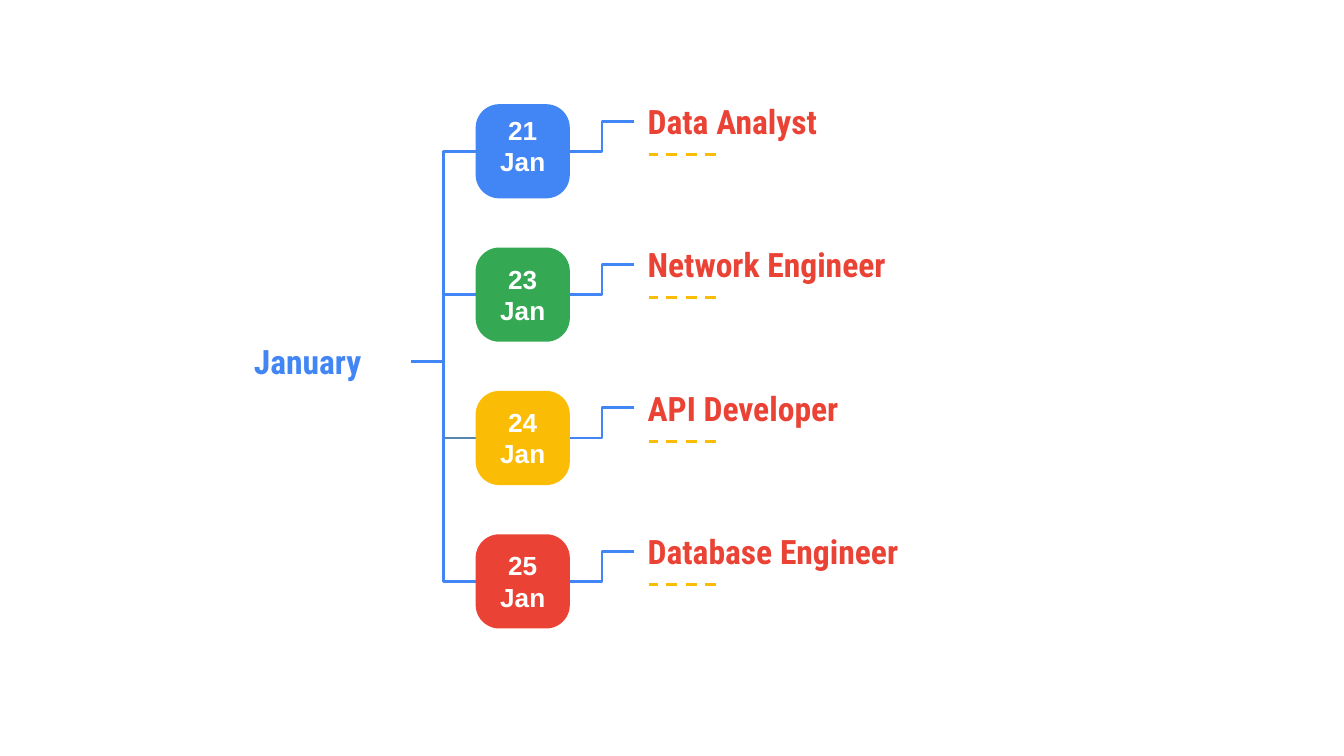
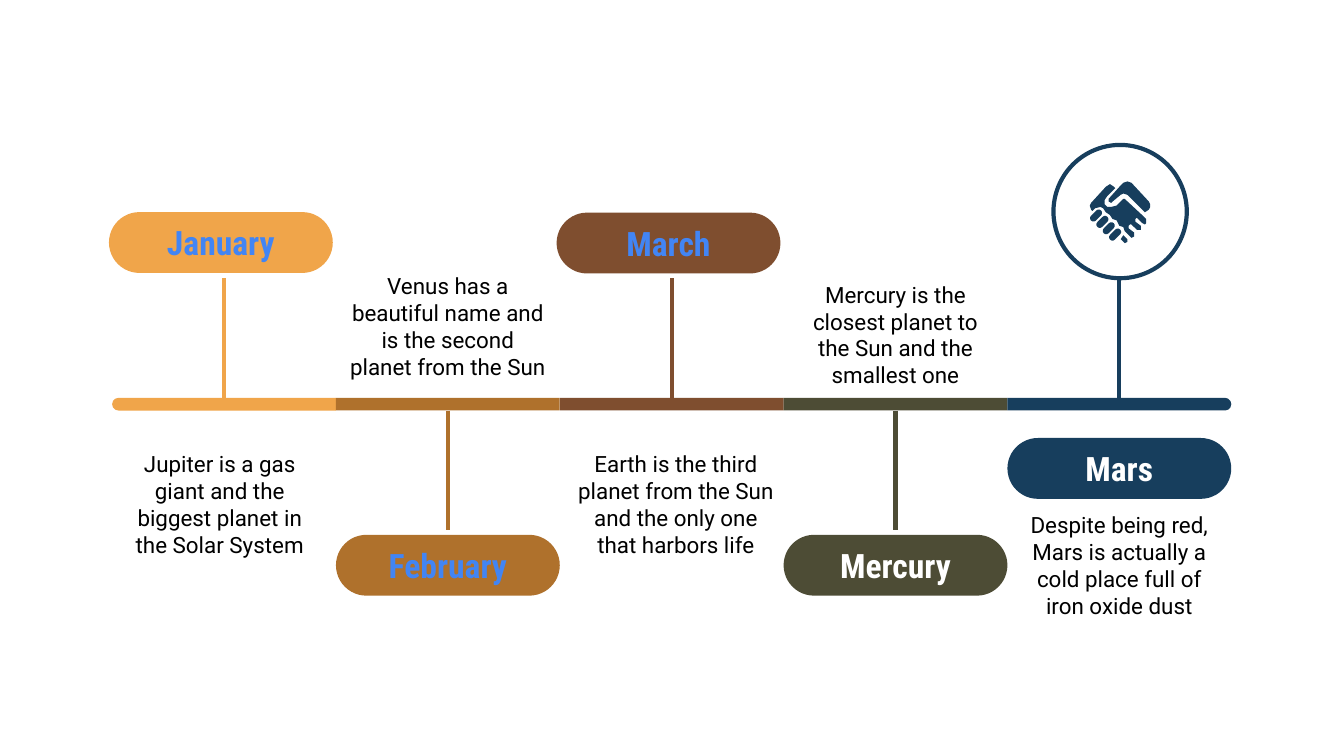
from lxml import etree
from pptx import Presentation
from pptx.dml.color import RGBColor
from pptx.enum.dml import MSO_LINE
from pptx.enum.shapes import MSO_CONNECTOR, MSO_SHAPE
from pptx.enum.text import MSO_ANCHOR, PP_ALIGN
from pptx.oxml.ns import qn
from pptx.util import Cm, Pt

ROUNDED, RECT, OVAL = MSO_SHAPE.ROUNDED_RECTANGLE, MSO_SHAPE.RECTANGLE, MSO_SHAPE.OVAL
ROUND_END = MSO_SHAPE.ROUND_2_SAME_RECTANGLE
STRAIGHT, ELBOW = MSO_CONNECTOR.STRAIGHT, MSO_CONNECTOR.ELBOW
LEFT, CENTER = PP_ALIGN.LEFT, PP_ALIGN.CENTER
TOP, MIDDLE = MSO_ANCHOR.TOP, MSO_ANCHOR.MIDDLE
DASH = MSO_LINE.DASH

BLUE, RED, YELLOW, GREEN = "4285F4", "EA4335", "FBBC05", "34A853"
WHITE, BLACK, NAVY = "FFFFFF", "000000", "173E5D"
HEADING = ("Roboto Condensed", 18, True)
BODY = ("Roboto", 12, False)
DATE = ("Arial", 14, True)

MONTH = "January"
JOBS = [
    ("21 Jan", "Data Analyst", BLUE, BLUE, 0.06),
    ("23 Jan", "Network Engineer", GREEN, BLUE, 0.16),
    ("24 Jan", "API Developer", YELLOW, "5486AE", 0.16),
    ("25 Jan", "Database Engineer", RED, BLUE, 0.16),
]
NODE_X, NODE_Y, NODE, JOB_STEP = 8.99, 1.97, 1.78, 2.71
MONTH_X, MONTH_Y, LABEL_X = 7.77, 6.83, 11.99

STAGES = [
    ("January", "Jupiter is a gas giant and the biggest planet in the Solar System",
     "F0A54A", BLUE, 4.01, 8.26, -0.06, -0.08),
    ("February", "Venus has a beautiful name and is the second planet from the Sun",
     "AF712C", BLUE, 10.11, 4.9, 0, 0),
    ("March", "Earth is the third planet from the Sun and the only one that harbors life",
     "7F4E2F", BLUE, 4.02, 8.26, -0.06, 0.08),
    ("Mercury", "Mercury is the closest planet to the Sun and the smallest one",
     "4D4C35", WHITE, 10.11, 5.06, 0, 0),
    ("Mars", "Despite being red, Mars is actually a cold place full of iron oxide dust",
     NAVY, WHITE, 8.28, 9.42, 0, 0),
]
BAR_X, BAR_Y, BAR_H, STAGE_W = 2.12, 7.52, 0.24, 4.23
PILL_H, STEM = 1.15, 2.26

ICON_X, ICON_Y = 20.57, 3.43
HANDSHAKE = [
    [(16, 2), (13, 4), (2, 16), (1, 18), (2, 21), (3, 22), (5, 20), (9, 19), (11, 20),
     (13, 23), (16, 25), (18, 28), (21, 29), (23, 33), (26, 34), (27, 37), (31, 41),
     (32, 42), (34, 41), (34, 38), (30, 35), (30, 33), (31, 32), (32, 32), (36, 36),
     (37, 36), (39, 36), (39, 33), (35, 30), (35, 28), (36, 27), (37, 28), (40, 31),
     (42, 32), (43, 31), (43, 28), (41, 26), (27, 13), (26, 13), (21, 18), (17, 19),
     (14, 19), (12, 17), (12, 14), (14, 11), (20, 5), (19, 4)],
    [(29, 0), (26, 1), (24, 3), (15, 13), (15, 15), (17, 16), (18, 15), (24, 10),
     (26, 9), (29, 10), (42, 23), (45, 21), (46, 19), (46, 17), (45, 15), (32, 1)],
    [(26, 40), (24, 43), (26, 45), (27, 46), (29, 45), (29, 43)],
]


def color(value):
    return RGBColor.from_string(value)


def write(s, text, style, fill, align=CENTER, anchor=TOP, pad=0.25, after=0):
    name, size, bold = style
    tf = s.text_frame
    tf.word_wrap = True
    tf.vertical_anchor = anchor
    tf.margin_left = tf.margin_right = Cm(0.25)
    tf.margin_top = tf.margin_bottom = Cm(pad)
    tf.text = text
    p = tf.paragraphs[0]
    p.alignment = align
    p.space_after = Pt(after)
    font = p.runs[0].font
    font.name, font.size, font.bold = name, Pt(size), bold
    font.color.rgb = color(fill)


def add_text(slide, x, y, w, h, *args, **options):
    write(slide.shapes.add_textbox(Cm(x), Cm(y), Cm(w), Cm(h)), *args, **options)


def paint(sp, fill):
    sp.shadow.inherit = False
    sp.line.fill.background()
    sp.fill.solid()
    sp.fill.fore_color.rgb = color(fill)


def add_block(slide, kind, x, y, w, h, fill, *adjustments):
    sp = slide.shapes.add_shape(kind, Cm(x), Cm(y), Cm(w), Cm(h))
    paint(sp, fill)
    for i, value in enumerate(adjustments):
        sp.adjustments[i] = value
    return sp


def add_line(slide, kind, x1, y1, x2, y2, stroke, width=1.5, dash=None):
    c = slide.shapes.add_connector(kind, Cm(x1), Cm(y1), Cm(x2), Cm(y2))
    c.line.color.rgb = color(stroke)
    c.line.width = Pt(width)
    if dash:
        c.line.dash_style = dash
    etree.SubElement(c._element.spPr, qn("a:effectLst"))


def add_handshake(slide):
    for points in HANDSHAKE:
        builder = slide.shapes.build_freeform(*points[0], scale=Cm(2.54) / 100)
        builder.add_line_segments(points[1:], close=True)
        paint(builder.convert_to_shape(Cm(ICON_X), Cm(ICON_Y)), NAVY)
    for i in range(4):
        finger = add_block(slide, ROUNDED, ICON_X + 0.01 + 0.12 * i,
                           ICON_Y + 0.58 + 0.12 * i, 0.27, 0.13, NAVY, 0.5)
        finger.rotation = 315


def build_jobs(slide):
    add_text(slide, 3.86, 6.2, 3.91, 1.24, MONTH, HEADING, BLUE, after=16)
    for i, (date, job, fill, branch, drop) in enumerate(JOBS):
        y = NODE_Y + i * JOB_STEP
        middle = y + NODE / 2
        add_line(slide, ELBOW, NODE_X, middle, MONTH_X, MONTH_Y, branch)
        add_line(slide, ELBOW, LABEL_X, y + 0.32, NODE_X + NODE, middle, BLUE)
        add_line(slide, STRAIGHT, 13.54, y + 0.95, 12.27, y + 0.95, YELLOW, dash=DASH)
        add_block(slide, ROUNDED, NODE_X, y, NODE, NODE, fill, 0.25)
        add_text(slide, 9.19, y + drop, 1.38, 1.45, date, DATE, WHITE, pad=0.13)
        add_text(slide, LABEL_X, y - 0.31, 6.17, 1.24, job, HEADING, RED, LEFT, after=16)


def build_timeline(slide):
    last = len(STAGES) - 1
    for i, (name, note, fill, ink, pill_y, note_y, pill_dx, note_dx) in enumerate(STAGES):
        x = BAR_X + i * STAGE_W
        center = x + STAGE_W / 2
        if i in (0, last):
            end = add_block(slide, ROUND_END, center - BAR_H / 2,
                            BAR_Y + BAR_H / 2 - STAGE_W / 2, BAR_H, STAGE_W, fill, 0.5, 0)
            end.rotation = 90 if i else 270
        else:
            add_block(slide, RECT, x, BAR_Y, STAGE_W, BAR_H, fill)
        start = BAR_Y + BAR_H if i % 2 else BAR_Y - STEM
        add_line(slide, STRAIGHT, center, start, center, start + STEM, fill, 2.25)
        pill = add_block(slide, ROUNDED, x + pill_dx, pill_y, STAGE_W, PILL_H, fill, 0.5)
        write(pill, name, HEADING, ink, anchor=MIDDLE)
        add_text(slide, x + note_dx, note_y, STAGE_W, 2.64, note, BODY, BLACK)
    ring = add_block(slide, OVAL, 19.91, 2.74, 2.52, 2.52, WHITE)
    ring.fill.background()
    ring.line.color.rgb = color(NAVY)
    ring.line.width = Pt(2.25)
    add_handshake(slide)


def main():
    prs = Presentation()
    prs.slide_width, prs.slide_height = Cm(25.4), Cm(14.29)
    for build in (build_jobs, build_timeline):
        build(prs.slides.add_slide(prs.slide_layouts[6]))
    prs.save("out.pptx")


if __name__ == "__main__":
    main()
